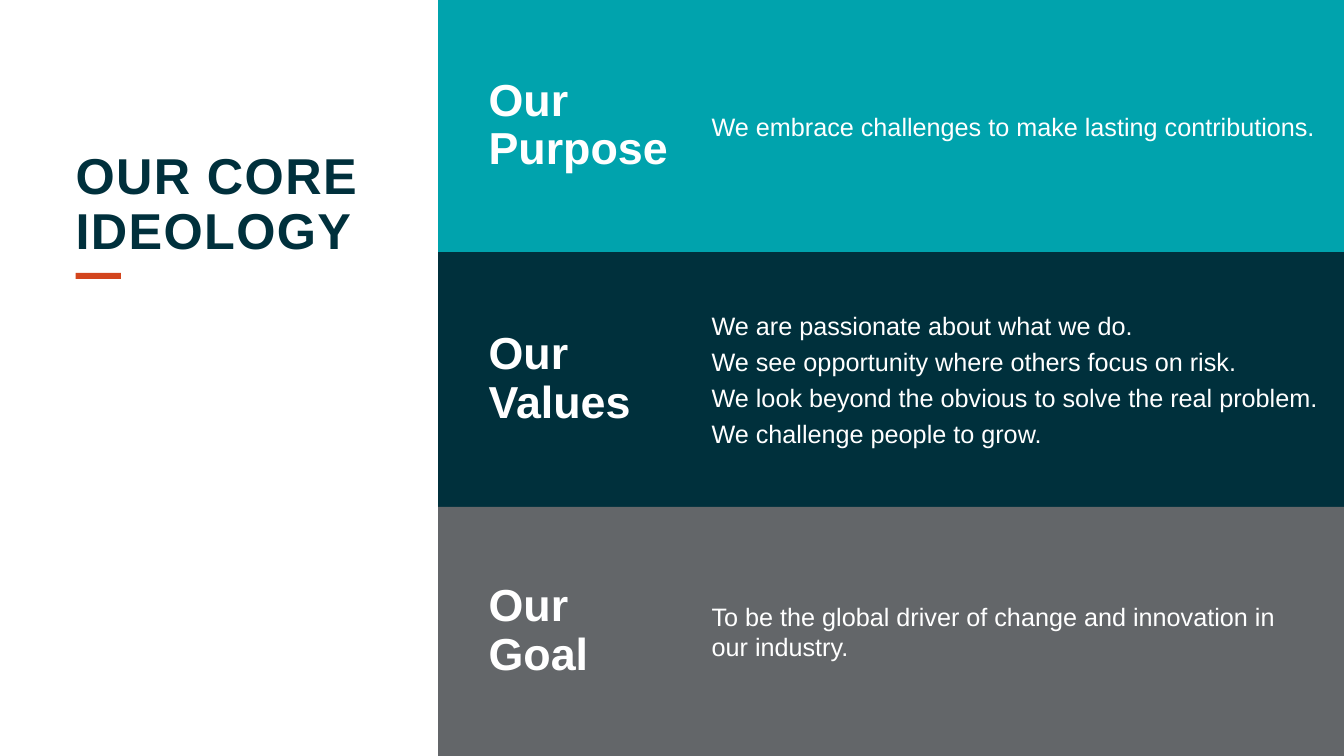
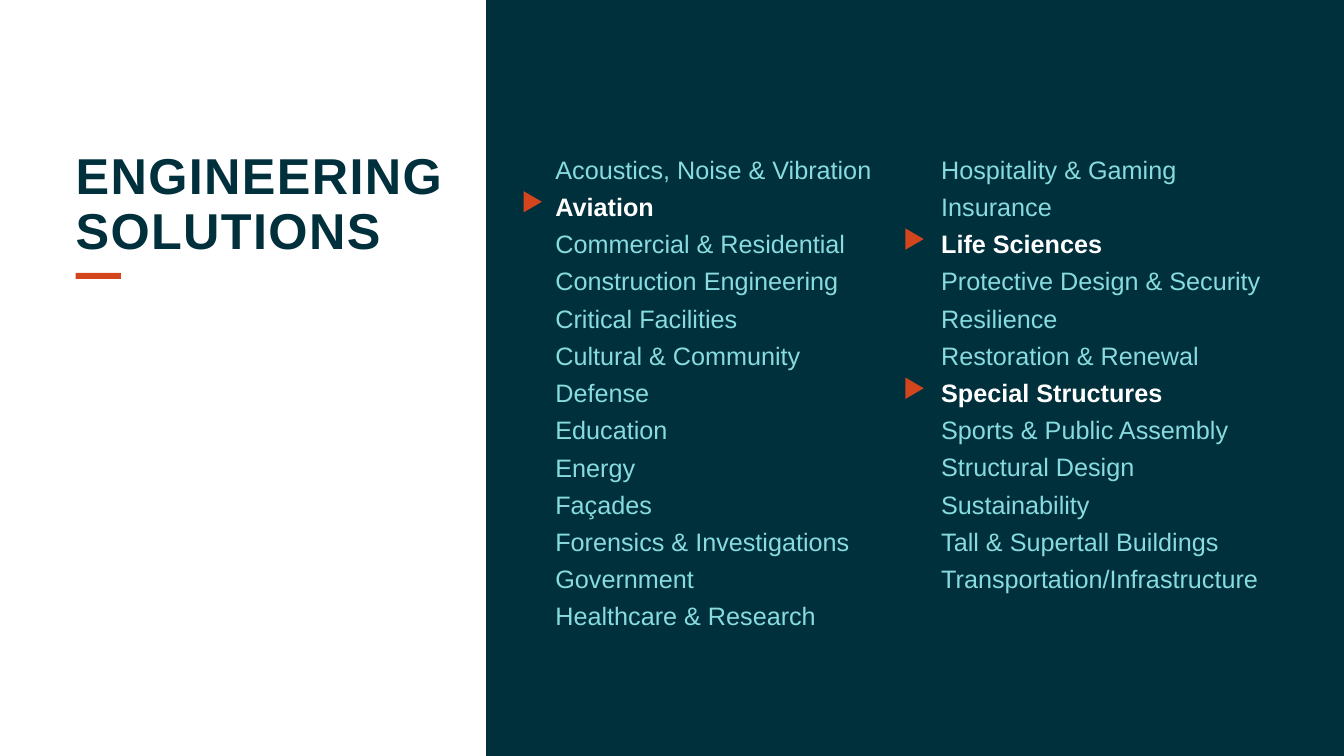
from pptx import Presentation
from pptx.dml.color import RGBColor
from pptx.enum import shapes, text
from pptx.util import Pt

FONT = "Arial"
WHITE, NAVY, TEAL = "FFFFFF", "00303C", "00A3AD"
GREY, ORANGE, AQUA = "636669", "D3451D", "88DBDF"
SLIDE_W, SLIDE_H = 960, 540
MARGIN = 54
ROW_PITCH = 26.64

BANDS = [
    (TEAL, 180, "Our\vPurpose",
     ["We embrace challenges to make lasting contributions."]),
    (NAVY, 182, "Our\vValues",
     ["We are passionate about what we do.",
      "We see opportunity where others focus on risk.",
      "We look beyond the obvious to solve the real problem.",
      "We challenge people to grow."]),
    (GREY, 178, "Our\vGoal",
     ["To be the global driver of change and innovation in\vour industry."]),
]
SOLUTIONS_A_TO_H = [
    "Acoustics, Noise & Vibration", "Aviation", "Commercial & Residential",
    "Construction Engineering", "Critical Facilities", "Cultural & Community",
    "Defense", "Education", "Energy", "Façades", "Forensics & Investigations",
    "Government", "Healthcare & Research",
]
SOLUTIONS_H_TO_T = [
    "Hospitality & Gaming", "Insurance", "Life Sciences",
    "Protective Design & Security", "Resilience", "Restoration & Renewal",
    "Special Structures", "Sports & Public Assembly", "Structural Design",
    "Sustainability", "Tall & Supertall Buildings",
    "Transportation/Infrastructure",
]
HIGHLIGHTED = {"Aviation", "Life Sciences", "Special Structures"}


def rgb(hex_colour):
    return RGBColor.from_string(hex_colour)


def add_filled(slide, preset, left, top, width, height, colour):
    shape = slide.shapes.add_shape(
        preset, Pt(left), Pt(top), Pt(width), Pt(height))
    shape.shadow.inherit = False
    shape.fill.solid()
    shape.fill.fore_color.rgb = rgb(colour)
    shape.line.fill.background()
    return shape


def add_block(slide, left, top, width, height, colour):
    return add_filled(slide, shapes.MSO_SHAPE.RECTANGLE,
                      left, top, width, height, colour)


def set_frame(shape, anchor, left=0, right=0):
    frame = shape.text_frame
    frame.word_wrap = True
    frame.auto_size = text.MSO_AUTO_SIZE.NONE
    frame.vertical_anchor = anchor
    frame.margin_left, frame.margin_right = Pt(left), Pt(right)
    frame.margin_top = frame.margin_bottom = 0
    return frame


def style(paragraph, size, colour, bold=False, line=None, after=0):
    paragraph.alignment = text.PP_ALIGN.LEFT
    paragraph.space_before, paragraph.space_after = Pt(0), Pt(after)
    if line:
        paragraph.line_spacing = line
    for run in paragraph.runs:
        run.font.name = FONT
        run.font.size = Pt(size)
        run.font.bold = bold
        run.font.color.rgb = rgb(colour)


def add_lines(slide, left, top, width, height, lines, anchor, after, right=0):
    """Add a text box with one paragraph for each line."""
    box = slide.shapes.add_textbox(Pt(left), Pt(top), Pt(width), Pt(height))
    frame = set_frame(box, anchor, right=right)
    for index, line in enumerate(lines):
        paragraph = frame.paragraphs[0] if index == 0 else frame.add_paragraph()
        paragraph.text = line
        style(paragraph, 18, WHITE, after=after)
    return frame


def add_titled_slide(prs, heading):
    """Add a slide with the heading at left and the short rule under it."""
    slide = prs.slides.add_slide(prs.slide_layouts.get_by_name("Title Only"))
    title = slide.shapes.title
    title.left, title.top = Pt(MARGIN), Pt(108)
    title.width, title.height = Pt(339), Pt(285)
    frame = set_frame(title, text.MSO_ANCHOR.TOP)
    frame.text = heading
    style(frame.paragraphs[0], 36, NAVY, bold=True, line=0.9)
    for run in frame.paragraphs[0].runs:
        run._r.get_or_add_rPr().set("spc", "100")
    add_block(slide, MARGIN, 195, 32.4, 4.3, ORANGE)
    return slide


def add_band(slide, left, top, width, height, colour, label, statements):
    band = add_block(slide, left, top, width, height, colour)
    frame = set_frame(band, text.MSO_ANCHOR.MIDDLE, left=36, right=14.4)
    frame.text = label
    style(frame.paragraphs[0], 32, WHITE, bold=True, line=0.9)
    indent = 195.3
    add_lines(slide, left + indent, top, width - indent, height, statements,
              text.MSO_ANCHOR.MIDDLE, after=4, right=14.4)


def add_solutions(slide, left, top, width, marker_gap, names):
    """List the names, with a pointer beside each highlighted one."""
    frame = add_lines(slide, left, top, width, len(names) * ROW_PITCH, names,
                      text.MSO_ANCHOR.TOP, after=5)
    base, height = 15.2, 13
    for row, paragraph in enumerate(frame.paragraphs):
        marked = paragraph.text in HIGHLIGHTED
        style(paragraph, 18, WHITE if marked else AQUA, bold=marked, after=5)
        if marked:
            middle = top + 7.5 + row * ROW_PITCH
            pointer = add_filled(
                slide, shapes.MSO_SHAPE.ISOSCELES_TRIANGLE,
                left - marker_gap - base / 2, middle - height / 2,
                base, height, ORANGE)
            pointer.rotation = 90


def build_ideology(prs):
    slide = add_titled_slide(prs, "OUR CORE IDEOLOGY")
    left, top = 313, 0
    for colour, height, label, statements in BANDS:
        add_band(slide, left, top, SLIDE_W - left, height,
                 colour, label, statements)
        top += height


def build_solutions(prs):
    slide = add_titled_slide(prs, "ENGINEERING SOLUTIONS")
    panel_left = 347.2
    add_block(slide, panel_left, 0, SLIDE_W - panel_left, SLIDE_H, NAVY)
    left, column_width, gap = 396.7, 254, 21.6
    for marker_gap, names in ((16.2, SOLUTIONS_A_TO_H),
                              (19, SOLUTIONS_H_TO_T)):
        add_solutions(slide, left, 110, column_width, marker_gap, names)
        left += column_width + gap


def main():
    prs = Presentation()
    prs.slide_width, prs.slide_height = Pt(SLIDE_W), Pt(SLIDE_H)
    build_ideology(prs)
    build_solutions(prs)
    prs.save("out.pptx")


if __name__ == "__main__":
    main()
